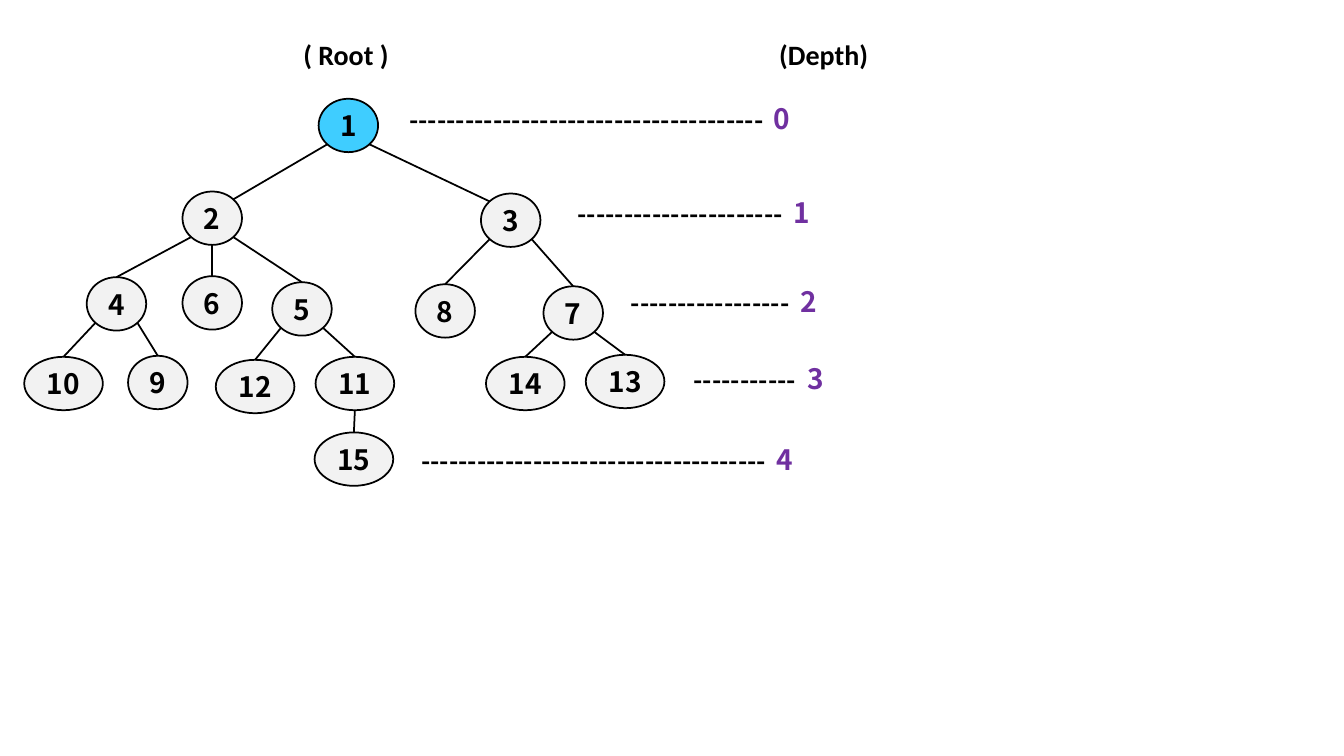
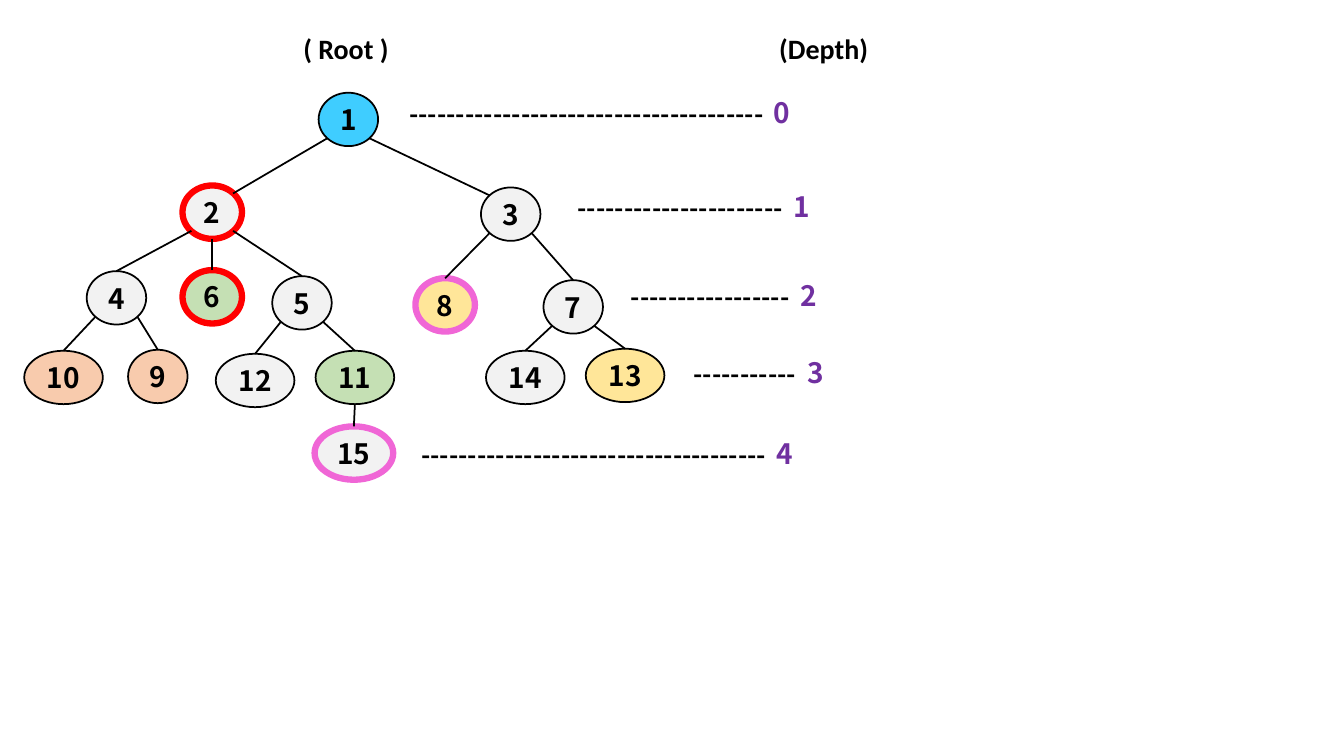
from dataclasses import dataclass

from lxml import etree
from pptx import Presentation
from pptx.dml.color import RGBColor
from pptx.enum.shapes import MSO_CONNECTOR, MSO_SHAPE
from pptx.enum.text import MSO_ANCHOR, MSO_AUTO_SIZE, PP_ALIGN
from pptx.oxml.ns import qn
from pptx.shapes.autoshape import Shape
from pptx.shapes.shapetree import GroupShapes
from pptx.util import Inches, Pt

ELLIPSE = MSO_SHAPE.OVAL
STRAIGHT = MSO_CONNECTOR.STRAIGHT
MIDDLE = MSO_ANCHOR.MIDDLE
CENTER = PP_ALIGN.CENTER
GROW = MSO_AUTO_SIZE.SHAPE_TO_FIT_TEXT

NODE_FONT = "Noto Sans CJK KR"
HEADING_FONT = "Calibri"
BLACK, PURPLE = "000000", "7030A0"
GRAY, BLUE, GREEN = "F2F2F2", "3FCDFF", "C5E0B4"
YELLOW, ORANGE = "FFE699", "F8CBAD"
RED, PINK = "FF0000", "F066D6"

THIN, THICK = 1.25, 4.5
NODE_HEIGHT = 0.53
LABEL_HEIGHT = 0.44
DASH_WIDTH, DEPTH_GAP = 0.092, 0.12
TOP = 0

# Points on an ellipse as fractions of its width and height
SITES = {
    "top left": (0.15, 0.15),
    "top right": (0.85, 0.15),
    "bottom left": (0.15, 0.85),
    "bottom": (0.5, 1.0),
    "bottom right": (0.85, 0.85),
}


@dataclass(frozen=True)
class Node:
    number: int
    left: float
    top: float

    @property
    def width(self) -> float:
        return 0.59 if self.number < 10 else 0.78


@dataclass(frozen=True)
class Edge:
    parent: int
    child: int
    parent_site: str
    child_site: str = "top"


@dataclass(frozen=True)
class DepthRow:
    depth: int
    dashes: int
    left: float
    top: float
    width: float


@dataclass(frozen=True)
class Heading:
    text: str
    left: float
    width: float


@dataclass(frozen=True)
class Style:
    fill: str = GRAY
    outline: str = BLACK
    weight: float = THIN


NODES = [
    Node(1, 3.16, 0.98),
    Node(2, 1.81, 1.9),
    Node(3, 4.77, 1.92),
    Node(4, 0.86, 2.75),
    Node(5, 2.7, 2.8),
    Node(6, 1.81, 2.74),
    Node(7, 5.39, 2.84),
    Node(8, 4.12, 2.82),
    Node(9, 1.27, 3.53),
    Node(10, 0.24, 3.54),
    Node(11, 3.13, 3.54),
    Node(12, 2.14, 3.57),
    Node(13, 5.81, 3.52),
    Node(14, 4.82, 3.54),
    Node(15, 3.12, 4.29),
]
EDGES = [
    Edge(1, 2, "bottom left", "top right"),
    Edge(1, 3, "bottom right", "top left"),
    Edge(2, 4, "bottom left"),
    Edge(2, 6, "bottom"),
    Edge(2, 5, "bottom right"),
    Edge(3, 8, "bottom left"),
    Edge(3, 7, "bottom right"),
    Edge(4, 10, "bottom left"),
    Edge(4, 9, "bottom right"),
    Edge(5, 12, "bottom left"),
    Edge(5, 11, "bottom right"),
    Edge(7, 14, "bottom left"),
    Edge(7, 13, "bottom right"),
    Edge(11, 15, "bottom"),
]
DEPTH_ROWS = [
    DepthRow(0, 38, 3.96, 0.96, 4.54),
    DepthRow(1, 22, 5.63, 1.89, 2.86),
    DepthRow(2, 17, 6.16, 2.77, 2.33),
    DepthRow(3, 11, 6.78, 3.54, 1.7),
    DepthRow(4, 37, 4.08, 4.34, 4.44),
]
HEADINGS = [Heading("( Root )", 2.91, 1.2), Heading("(Depth)", 7.63, 1.22)]
HEADING_TOP = 0.32

PLAIN_STYLES = {1: Style(BLUE)}
HIGHLIGHT_STYLES = PLAIN_STYLES | {
    2: Style(outline=RED, weight=THICK),
    6: Style(GREEN, RED, THICK),
    8: Style(YELLOW, PINK, THICK),
    9: Style(ORANGE),
    10: Style(ORANGE),
    11: Style(GREEN),
    13: Style(YELLOW),
    15: Style(outline=PINK, weight=THICK),
}


def rgb(color: str) -> RGBColor:
    return RGBColor.from_string(color)


def add_run(paragraph, text: str, size: float, font: str = NODE_FONT, color: str = BLACK) -> None:
    run = paragraph.add_run()
    run.text = text
    run.font.size = Pt(size)
    run.font.name = font
    run.font.bold = True
    run.font.color.rgb = rgb(color)


def add_label(shapes: GroupShapes, left: float, top: float, width: float):
    """Add an empty text box and return its first paragraph."""
    box = shapes.add_textbox(Inches(left), Inches(top), Inches(width), Inches(LABEL_HEIGHT))
    box.text_frame.word_wrap = True
    box.text_frame.auto_size = GROW
    return box.text_frame.paragraphs[0]


def add_node(shapes: GroupShapes, node: Node, style: Style, shift: float) -> Shape:
    ellipse = shapes.add_shape(
        ELLIPSE, Inches(node.left), Inches(node.top + shift), Inches(node.width), Inches(NODE_HEIGHT)
    )
    ellipse.shadow.inherit = False
    ellipse.fill.solid()
    ellipse.fill.fore_color.rgb = rgb(style.fill)
    ellipse.line.color.rgb = rgb(style.outline)
    ellipse.line.width = Pt(style.weight)
    ellipse.text_frame.vertical_anchor = MIDDLE
    paragraph = ellipse.text_frame.paragraphs[0]
    paragraph.alignment = CENTER
    add_run(paragraph, str(node.number), 20)
    return ellipse


def site_point(ellipse: Shape, site: str) -> tuple[int, int]:
    across, down = SITES.get(site, (0.5, 0.0))
    return ellipse.left + int(ellipse.width * across), ellipse.top + int(ellipse.height * down)


def add_edge(shapes: GroupShapes, edge: Edge, ellipses: dict[int, Shape]) -> None:
    parent, child = ellipses[edge.parent], ellipses[edge.child]
    start = site_point(parent, edge.parent_site)
    end = site_point(child, edge.child_site)
    connector = shapes.add_connector(STRAIGHT, *start, *end)
    connector.line.color.rgb = rgb(BLACK)
    connector.line.width = Pt(THIN)
    etree.SubElement(connector._element.spPr, qn("a:effectLst"))
    if edge.child_site == "top":
        connector.end_connect(child, TOP)


def add_depth_row(shapes: GroupShapes, row: DepthRow, shift: float) -> None:
    """Add a dashed leader with its depth set at a tab stop."""
    paragraph = add_label(shapes, row.left, row.top + shift, row.width)
    tabs = etree.SubElement(paragraph._p.get_or_add_pPr(), qn("a:tabLst"))
    stop = Inches(row.dashes * DASH_WIDTH + DEPTH_GAP)
    etree.SubElement(tabs, qn("a:tab"), pos=str(stop), algn="l")
    add_run(paragraph, "-" * row.dashes + "\t", 18)
    add_run(paragraph, str(row.depth), 20, color=PURPLE)


def add_tree_slide(prs, styles: dict[int, Style], shift: float) -> None:
    slide = prs.slides.add_slide(prs.slide_layouts[6])
    shapes = slide.shapes.add_group_shape().shapes
    ellipses = {
        node.number: add_node(shapes, node, styles.get(node.number, Style()), shift)
        for node in NODES
    }
    for edge in EDGES:
        add_edge(shapes, edge, ellipses)
    for heading in HEADINGS:
        paragraph = add_label(shapes, heading.left, HEADING_TOP + shift, heading.width)
        add_run(paragraph, heading.text, 20, HEADING_FONT)
    for row in DEPTH_ROWS:
        add_depth_row(shapes, row, shift)


def main() -> None:
    prs = Presentation()
    prs.slide_width, prs.slide_height = Inches(13.33), Inches(7.5)
    add_tree_slide(prs, PLAIN_STYLES, 0)
    add_tree_slide(prs, HIGHLIGHT_STYLES, -0.06)
    prs.save("out.pptx")


if __name__ == "__main__":
    main()
